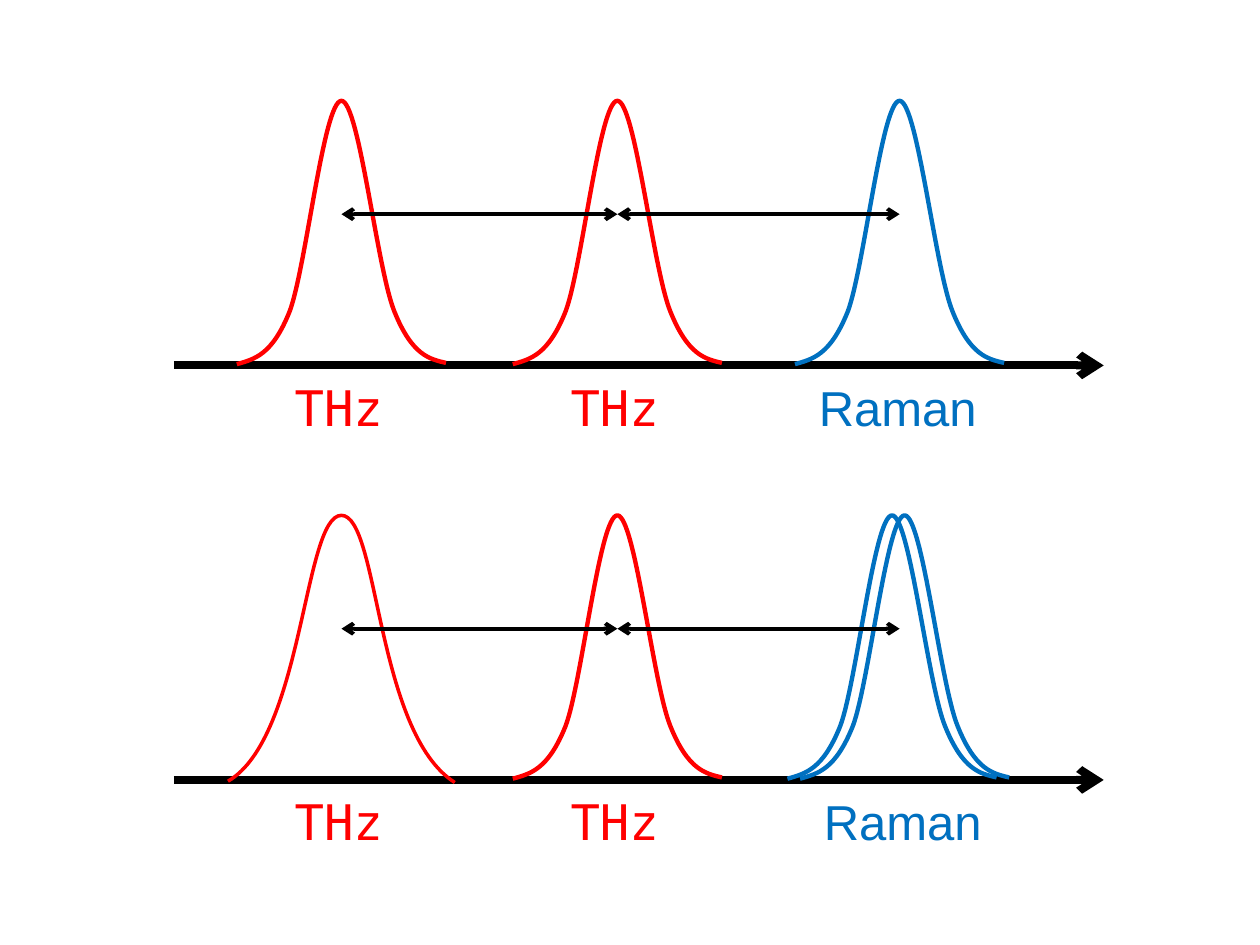
import itertools
from dataclasses import dataclass

import pptx
import pptx.dml.color
import pptx.enum.shapes
import pptx.enum.text
import pptx.oxml
import pptx.oxml.ns
import pptx.util
from pptx.util import Inches


@dataclass(frozen=True)
class Theme:
    thz: str = "FF0000"
    raman: str = "0070C0"
    ink: str = "000000"
    label_size: int = 28
    thz_font: str = "DejaVu Sans Mono"
    raman_font: str = "Arial"
    axis_width: float = 4.5
    spacing_width: float = 2.25
    narrow_width: float = 2.5
    broad_width: float = 2


T = Theme()
rgb = pptx.dml.color.RGBColor.from_string
qn = pptx.oxml.ns.qn

# Bezier points as (x from the peak centre, y below the peak top)
NARROW = [(-0.83, 2.09), (-0.69, 2.05), (-0.55, 2.02), (-0.41, 1.67),
          (-0.28, 1.32), (-0.14, 0), (0, 0),
          (0.14, 0), (0.28, 1.32), (0.42, 1.67),
          (0.56, 2.02), (0.7, 2.05), (0.83, 2.08)]
BROAD = [(-0.9, 2.11), (-0.3, 1.76), (-0.3, 0), (0, 0),
         (0.3, 0), (0.27, 1.72), (0.9, 2.12)]


def add_peak(s, points, cx, top, color, width):
    """Draw an open Bezier curve: a start point, then three points per segment."""
    xy = [(Inches(cx + x), Inches(top + y)) for x, y in points]
    builder = s.shapes.build_freeform(*xy[0])
    builder.add_line_segments(xy[1:], close=False)
    sp = builder.convert_to_shape()
    sp.shadow.inherit = False
    sp.fill.background()
    sp.line.color.rgb = rgb(color)
    sp.line.width = pptx.util.Pt(width)
    lines = list(sp._element.iter(qn("a:lnTo")))
    for i in range(0, len(lines), 3):
        curve = pptx.oxml.parse_xml(
            f"<a:cubicBezTo {pptx.oxml.ns.nsdecls('a')}/>")
        lines[i].addprevious(curve)
        for line in lines[i:i + 3]:
            curve.append(line[0])
            line.getparent().remove(line)


def add_arrow(s, x1, x2, y, width, ends):
    sp = s.shapes.add_connector(pptx.enum.shapes.MSO_CONNECTOR.STRAIGHT,
                                Inches(x1), Inches(y), Inches(x2), Inches(y))
    sp.line.color.rgb = rgb(T.ink)
    sp.line.width = pptx.util.Pt(width)
    ln = sp.line._get_or_add_ln()
    for end in ends:
        ln.append(ln.makeelement(qn(f"a:{end}"), {"type": "arrow"}))
    props = sp._element.spPr
    props.append(props.makeelement(qn("a:effectLst"), {}))


prs = pptx.Presentation()
prs.slide_width, prs.slide_height = Inches(10), Inches(7.5)
s = prs.slides.add_slide(prs.slide_layouts[6])

CENTRES = [2.71, 4.9, 7.14]
narrow_thz = (NARROW, T.thz, T.narrow_width)
broad_thz = (BROAD, T.thz, T.broad_width)
narrow_raman = (NARROW, T.raman, T.narrow_width)

# Each row: top of the peaks, left of the Raman label, peaks as (centre, style)
ROWS = [
    (0.8, 6.4, [(CENTRES[0], narrow_thz), (CENTRES[1], narrow_thz),
                (CENTRES[2], narrow_raman)]),
    (4.09, 6.44, [(CENTRES[1], narrow_thz), (7.08, narrow_raman),
                  (7.18, narrow_raman), (CENTRES[0], broad_thz)]),
]

for top, raman_left, peaks in ROWS:
    add_arrow(s, 1.38, 8.76, top + 2.1, T.axis_width, ["tailEnd"])

    for cx, (points, color, width) in peaks:
        add_peak(s, points, cx, top, color, width)

    for x1, x2 in itertools.pairwise(CENTRES):
        add_arrow(s, x1, x2, top + 0.9, T.spacing_width, ["headEnd", "tailEnd"])

    for text, left, width, font, color in [
            ("THz", 2.24, 0.94, T.thz_font, T.thz),
            ("THz", 4.43, 0.94, T.thz_font, T.thz),
            ("Raman", raman_left, 1.48, T.raman_font, T.raman)]:
        tf = s.shapes.add_textbox(Inches(left), Inches(top + 2.14),
                                  Inches(width), Inches(0.57)).text_frame
        tf.word_wrap = True
        tf.vertical_anchor = pptx.enum.text.MSO_ANCHOR.BOTTOM
        r = tf.paragraphs[0].add_run()
        r.text = text
        for name, value in {"name": font,
                            "size": pptx.util.Pt(T.label_size)}.items():
            setattr(r.font, name, value)
        r.font.color.rgb = rgb(color)

prs.save("out.pptx")
